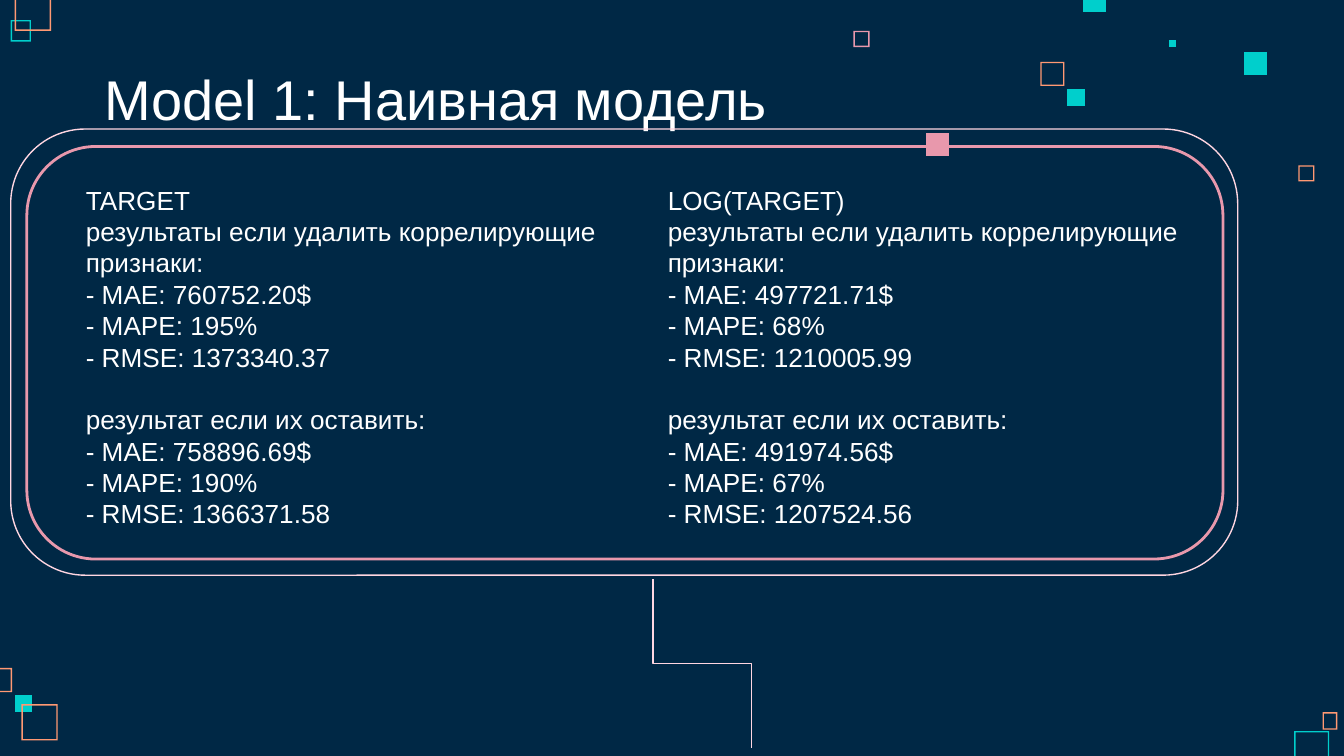
from lxml.etree import SubElement
from pptx import Presentation
from pptx.dml.color import RGBColor
from pptx.enum.shapes import MSO_CONNECTOR, MSO_SHAPE
from pptx.enum.text import MSO_ANCHOR
from pptx.oxml.ns import qn
from pptx.util import Inches, Pt

WIDTH = 10
HEIGHT = WIDTH * 9 / 16
COLORS = {"navy": "002845", "white": "FFFFFF", "orange": "FF9973",
          "teal": "00CFCC", "pink": "E898AC", "pale": "FFD6E1"}

# Decorative squares: left, top, width, height, colour
FRAMES = [(9.66, 1.23, 0.12, 0.12, "orange"), (6.35, 0.23, 0.12, 0.12, "pink"),
          (7.74, 0.46, 0.18, 0.18, "orange"), (-0.09, 4.97, 0.18, 0.18, "orange"),
          (0.16, 5.24, 0.27, 0.27, "orange"), (0.08, 0.15, 0.15, 0.16, "teal"),
          (9.63, 5.44, 0.26, 0.26, "teal"), (0.11, -0.04, 0.27, 0.27, "orange"),
          (9.84, 5.3, 0.11, 0.13, "orange")]
SQUARES = [(8.7, 0.3, 0.05, 0.05, "teal"), (8.06, -0.08, 0.17, 0.17, "teal"),
           (9.26, 0.39, 0.17, 0.17, "teal"), (7.94, 0.66, 0.13, 0.13, "teal"),
           (6.89, 0.99, 0.17, 0.17, "pink"), (0.11, 5.17, 0.13, 0.13, "teal")]
BORDER = 0.01

# Results: left, width, heading, metrics without and with the correlated features
RESULTS = [
    (0.54, 4.73, "TARGET", ("760752.20", 195, "1373340.37"), ("758896.69", 190, "1366371.58")),
    (4.87, 4.82, "LOG(TARGET)", ("497721.71", 68, "1210005.99"), ("491974.56", 67, "1207524.56")),
]


def rgb(name):
    return RGBColor.from_string(COLORS[name])


def corners(x, y, w, h):
    points = [(x, y), (x, y + h), (x + w, y + h), (x + w, y)]
    return [(Inches(px), Inches(py)) for px, py in points]


def add_square(slide, x, y, w, h, color, hollow=False):
    start, *rest = corners(x, y, w, h)
    fb = slide.shapes.build_freeform(*start)
    fb.add_line_segments(rest, close=True)
    if hollow:  # inner contour runs the other way round
        inner = corners(x + BORDER, y + BORDER, w - 2 * BORDER, h - 2 * BORDER)[::-1]
        fb.move_to(*inner[0])
        fb.add_line_segments(inner[1:], close=True)
    sp = fb.convert_to_shape()
    sp.shadow.inherit = False
    sp.fill.solid()
    sp.fill.fore_color.rgb = rgb(color)
    sp.line.fill.background()


def add_text(slide, x, y, w, h, lines, size, gaps=(), inset=0.05, anchor=MSO_ANCHOR.TOP):
    tf = slide.shapes.add_textbox(*map(Inches, (x, y, w, h))).text_frame
    tf.word_wrap = True
    tf.vertical_anchor = anchor
    tf.margin_top = tf.margin_bottom = Inches(inset)
    tf.text = "\n".join(lines)
    for i, p in enumerate(tf.paragraphs):
        p.font.size = Pt(size)
        p.font.name = "Arial"
        p.font.color.rgb = rgb("white")
        if i in gaps:
            p.space_before = Pt(size * 1.2)


def metric_lines(mae, mape, rmse):
    return [f"- MAE: {mae}$", f"- MAPE: {mape}%", f"- RMSE: {rmse}"]


def add_results(slide, x, w, heading, removed, kept):
    lines = [heading, "результаты если удалить коррелирующие признаки:",
             *metric_lines(*removed), "результат если их оставить:", *metric_lines(*kept)]
    add_text(slide, x, 1.32, w, 2.69, lines, 14, gaps=(5,))


def add_panel(slide, x, y, w, h, color, weight):
    sp = slide.shapes.add_shape(MSO_SHAPE.ROUNDED_RECTANGLE, *map(Inches, (x, y, w, h)))
    sp.shadow.inherit = False
    sp.adjustments[0] = 0.167
    sp.fill.background()
    sp.line.color.rgb = rgb(color)
    sp.line.width = Pt(weight)


def add_vertical_elbow(slide, x1, y1, x2, y2, color, weight):
    """Elbow that leaves and arrives vertically: a mirrored one turned by 270 degrees."""
    cx, cy = (x1 + x2) / 2, (y1 + y2) / 2
    dx, dy = (y2 - y1) / 2, (x2 - x1) / 2
    c = slide.shapes.add_connector(
        MSO_CONNECTOR.ELBOW, *map(Inches, (cx + dx, cy - dy, cx - dx, cy + dy)))
    c.line.color.rgb = rgb(color)
    c.line.width = Pt(weight)
    spPr = c._element.spPr
    spPr.find(qn("a:xfrm")).set("rot", str(270 * 60000))
    SubElement(spPr, qn("a:effectLst"))


def main():
    prs = Presentation()
    prs.slide_width, prs.slide_height = Inches(WIDTH), Inches(HEIGHT)
    slide = prs.slides.add_slide(prs.slide_layouts[6])
    slide.background.fill.solid()
    slide.background.fill.fore_color.rgb = rgb("navy")

    # Decoration
    for square in SQUARES:
        add_square(slide, *square)
    for frame in FRAMES:
        add_square(slide, *frame, hollow=True)

    # Title and results
    add_text(slide, 0.68, 0.45, 7.17, 0.63, ["Model 1: Наивная модель"], 30,
             inset=0.1, anchor=MSO_ANCHOR.BOTTOM)
    for result in RESULTS:
        add_results(slide, *result)

    # Double border with its stem
    add_panel(slide, 0.2, 1.09, 8.9, 3.07, "pink", 1.5)
    add_vertical_elbow(slide, 4.86, 4.31, 5.59, 5.57, "pale", 0.75)
    add_panel(slide, 0.08, 0.96, 9.13, 3.32, "pale", 0.75)

    prs.save("out.pptx")


if __name__ == "__main__":
    main()
